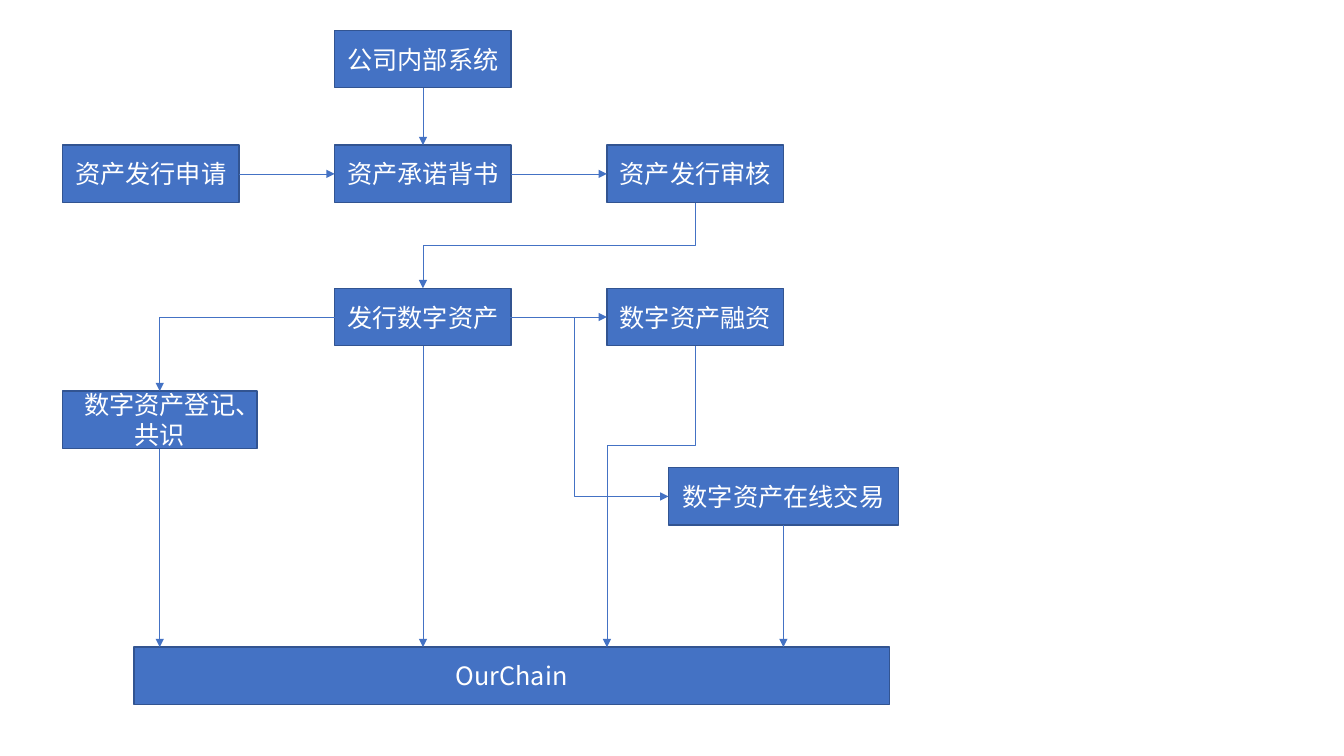
from dataclasses import dataclass

from lxml.etree import SubElement
from pptx import Presentation
from pptx.dml.color import RGBColor
from pptx.enum.shapes import MSO_CONNECTOR as Connector, MSO_SHAPE as Shape
from pptx.enum.text import MSO_ANCHOR as Anchor, PP_ALIGN as Align
from pptx.oxml.ns import qn
from pptx.util import Inches, Pt

FONT = "Noto Sans CJK SC"
BLUE, DARK_BLUE, WHITE = "4472C4", "325491", "FFFFFF"
BOX_HEIGHT = 0.57


@dataclass
class Box:
    text: str
    left: float
    top: float
    width: float = 1.75

    @property
    def right(self) -> float:
        return self.left + self.width

    @property
    def bottom(self) -> float:
        return self.top + BOX_HEIGHT

    @property
    def center(self) -> float:
        return self.left + self.width / 2

    @property
    def middle(self) -> float:
        return self.top + BOX_HEIGHT / 2


@dataclass
class Arrow:
    x1: float
    y1: float
    x2: float
    y2: float
    preset: str = "line"
    vertical_start: bool = False
    bend: float = 0.5


def color(value: str) -> RGBColor:
    return RGBColor.from_string(value)


def draw_box(slide, box: Box) -> None:
    shape = slide.shapes.add_shape(
        Shape.RECTANGLE, Inches(box.left), Inches(box.top), Inches(box.width), Inches(BOX_HEIGHT))
    shape.shadow.inherit = False
    shape.fill.solid()
    shape.fill.fore_color.rgb = color(BLUE)
    shape.line.color.rgb = color(DARK_BLUE)
    shape.line.width = Pt(1)
    frame = shape.text_frame
    frame.text = box.text
    frame.word_wrap = True
    frame.vertical_anchor = Anchor.MIDDLE
    paragraph = frame.paragraphs[0]
    paragraph.alignment = Align.CENTER
    font = paragraph.runs[0].font
    font.name, font.size = FONT, Pt(18)
    font.color.rgb = color(WHITE)
    SubElement(paragraph.runs[0]._r.get_or_add_rPr(), qn("a:ea"), typeface=FONT)


def draw_arrow(slide, arrow: Arrow) -> None:
    ends = (arrow.x1, arrow.y1, arrow.x2, arrow.y2)
    if arrow.vertical_start:
        # Down and to the left: swap the extents about the centre, then turn by 90 degrees
        x, y = (arrow.x1 + arrow.x2) / 2, (arrow.y1 + arrow.y2) / 2
        half_width, half_height = (arrow.y2 - arrow.y1) / 2, (arrow.x1 - arrow.x2) / 2
        ends = (x - half_width, y - half_height, x + half_width, y + half_height)
    kind = Connector.STRAIGHT if arrow.preset == "line" else Connector.ELBOW
    connector = slide.shapes.add_connector(kind, *map(Inches, ends))
    connector.line.color.rgb = color(BLUE)
    connector.line.width = Pt(0.5)
    properties = connector._element.spPr
    if arrow.vertical_start:
        properties.find(qn("a:xfrm")).set("rot", str(90 * 60000))
    geometry = properties.find(qn("a:prstGeom"))
    geometry.set("prst", arrow.preset)
    if arrow.bend != 0.5:
        SubElement(geometry.find(qn("a:avLst")), qn("a:gd"),
                   name="adj1", fmla=f"val {round(arrow.bend * 100000)}")
    SubElement(properties.find(qn("a:ln")), qn("a:tailEnd"), type="triangle")
    SubElement(properties, qn("a:effectLst"))


def across(start: Box, end: Box) -> Arrow:
    return Arrow(start.right, start.middle, end.left, end.middle)


def down(start: Box, end: Box) -> Arrow:
    return Arrow(start.center, start.bottom, start.center, end.top)


presentation = Presentation()
presentation.slide_width, presentation.slide_height = Inches(13.33), Inches(7.5)
slide = presentation.slides.add_slide(presentation.slide_layouts[6])

# Boxes: three columns, plus the wider ones
COLUMNS = (0.62, 3.32, 6.02)
REVIEW_ROW, ISSUE_ROW = 1.44, 2.86
application = Box("资产发行申请", COLUMNS[0], REVIEW_ROW)
endorsement = Box("资产承诺背书", COLUMNS[1], REVIEW_ROW)
review = Box("资产发行审核", COLUMNS[2], REVIEW_ROW)
internal_system = Box("公司内部系统", COLUMNS[1], 0.3)
issuance = Box("发行数字资产", COLUMNS[1], ISSUE_ROW)
financing = Box("数字资产融资", COLUMNS[2], ISSUE_ROW)
registration = Box("数字资产登记、共识", COLUMNS[0], 3.88, 1.93)
trading = Box("数字资产在线交易", 6.63, 4.64, 2.28)
chain = Box("OurChain", 1.33, 6.42, 7.49)

for box in (application, endorsement, trading, financing, review,
            issuance, registration, chain, internal_system):
    draw_box(slide, box)

# Arrows
arrows = [
    down(internal_system, endorsement),
    across(application, endorsement),
    across(endorsement, review),
    Arrow(review.center, review.bottom, issuance.center, issuance.top, "bentConnector3", True),
    Arrow(issuance.left, issuance.middle, registration.center, registration.top,
          "bentConnector2"),
    across(issuance, financing),
    Arrow(4.76, issuance.middle, trading.left, trading.middle, "bentConnector3"),
    *(down(box, chain) for box in (registration, issuance, trading)),
    Arrow(financing.center, financing.bottom, financing.left, chain.top,
          "bentConnector3", True, 0.33),
]
for arrow in arrows:
    draw_arrow(slide, arrow)

presentation.save("out.pptx")
